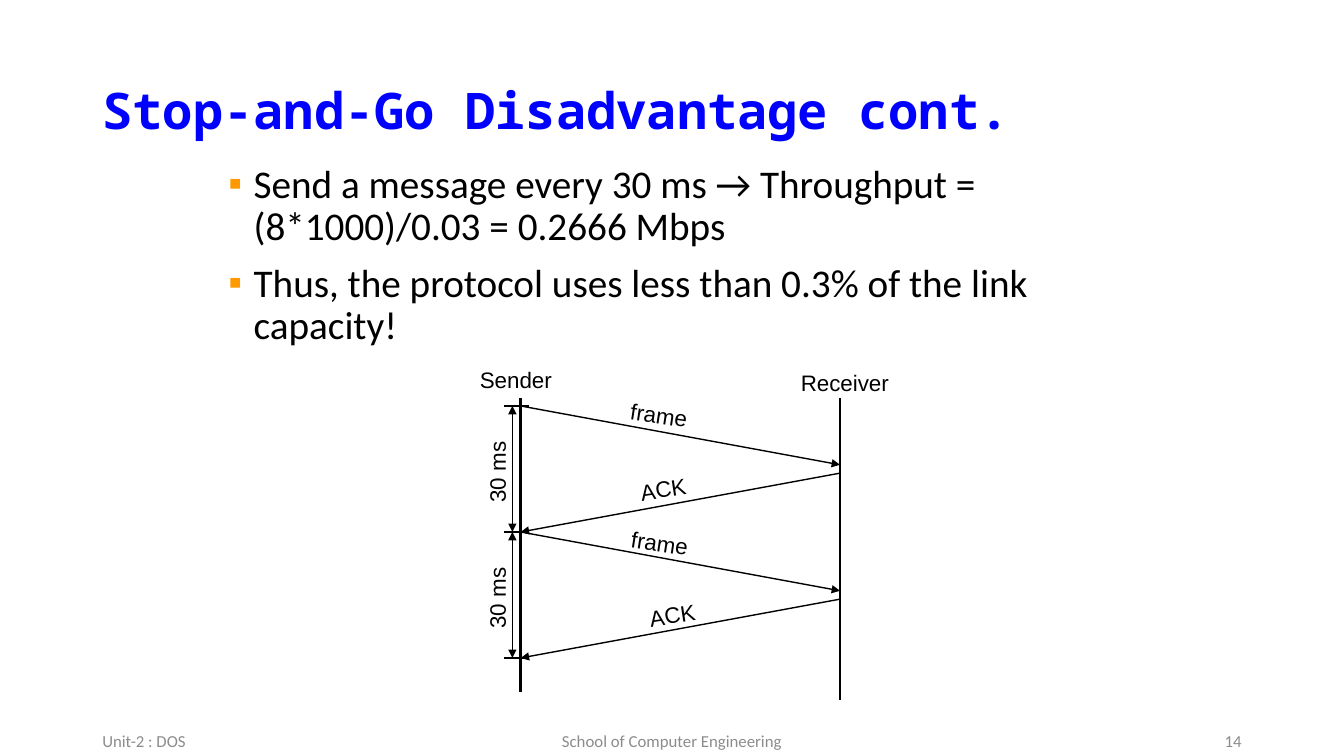
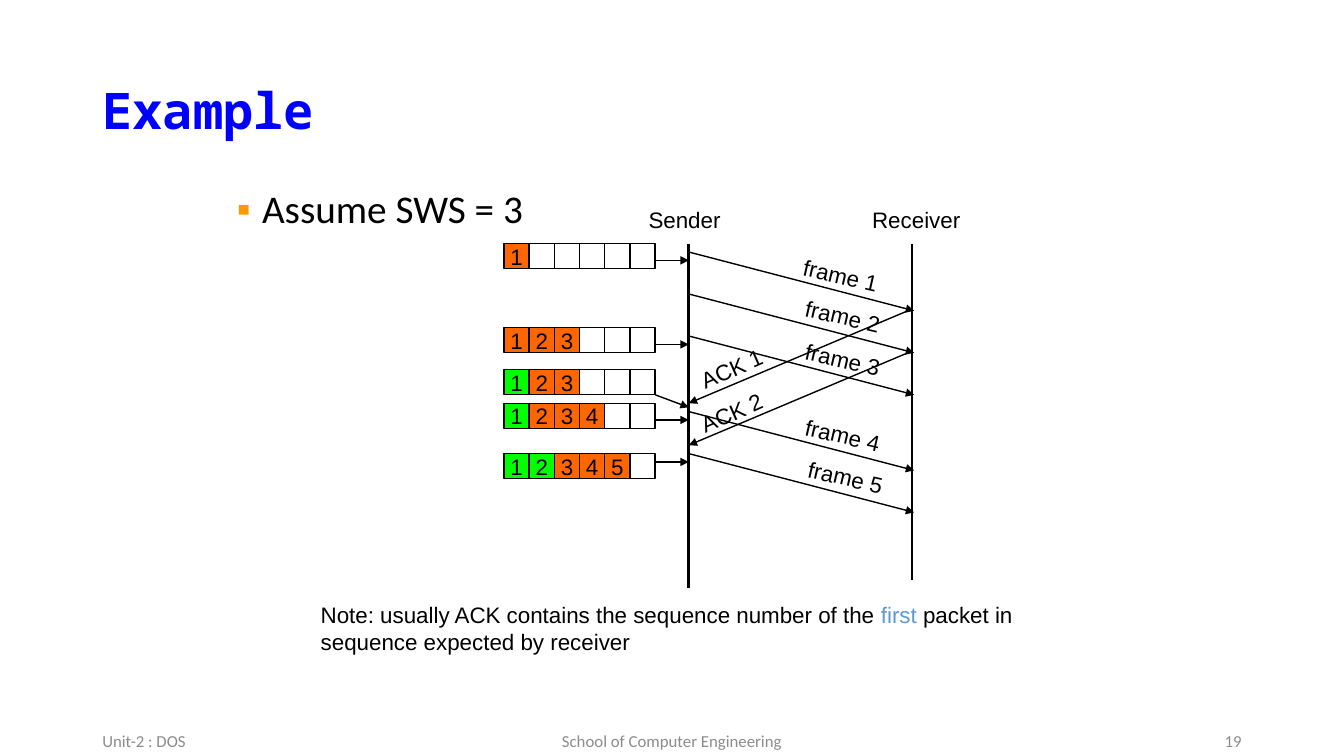
import pptx
import pptx.dml.color
import pptx.enum.shapes
import pptx.enum.text
import pptx.oxml.ns
import pptx.util
from lxml import etree

Pt = pptx.util.Pt
RGBColor = pptx.dml.color.RGBColor
Align = pptx.enum.text.PP_ALIGN
Anchor = pptx.enum.text.MSO_ANCHOR
Fit = pptx.enum.text.MSO_AUTO_SIZE
qn = pptx.oxml.ns.qn

BLACK = RGBColor(0x00, 0x00, 0x00)
WHITE = RGBColor(0xFF, 0xFF, 0xFF)
BLUE = RGBColor(0x00, 0x00, 0xFF)
GRAY = RGBColor(0x8C, 0x8C, 0x8C)
AMBER = RGBColor(0xFF, 0x99, 0x00)
SENT = RGBColor(0xFF, 0x66, 0x00)
ACKED = RGBColor(0x00, 0xFF, 0x00)
ACCENT = RGBColor(0x5B, 0x9B, 0xD5)

STOP_AND_GO = {
    "title": "Stop-and-Go Disadvantage cont.",
    "number": "14",
    "bullets": [
        "Send a message every 30 ms → Throughput = (8*1000)/0.03 = 0.2666 Mbps",
        "Thus, the protocol uses less than 0.3% of the link capacity!",
    ],
    "body": (156, 114, 648, 330),
    "timelines": [(372, 284.5, 494), (600, 284.5, 500)],
    "labels": [
        ("Sender", 335.5, 258, 66, 0),
        ("Receiver", 564.5, 260, 78, 0),
        ("frame", 443, 283, 55.5, 8.7),
        ("frame", 443.5, 374.5, 55.5, 8.7),
        ("ACK", 450, 336, 47.5, 351.3),
        ("ACK", 456.5, 426, 47.5, 351.3),
        ("30 ms", 326, 324, 58, 270),
        ("30 ms", 326, 414, 58, 270),
    ],
}
ROUND_START, ROUND_TIME, ROUNDS = 290, 90, 2
TRAVEL = 42

SLIDING_WINDOW = {
    "title": "Example",
    "number": "19",
    "bullets": ["Assume SWS = 3"],
    "body": (162, 132, 648, 48),
    "timelines": [(492, 174, 420), (651.5, 174, 414)],
    "labels": [
        ("Sender", 456, 144, 66, 0),
        ("Receiver", 615.5, 144, 78, 0),
        ("frame 1", 566, 183.5, 69, 13),
        ("frame 2", 567.5, 212.5, 69, 13),
        ("frame 3", 567.5, 243.5, 69, 13),
        ("frame 4", 567.5, 297.5, 69, 13),
        ("frame 5", 569.5, 327.5, 69, 13),
        ("ACK 1", 492, 250, 61, 336.3),
        ("ACK 2", 492, 281.5, 61, 336.3),
    ],
}
FRAME_STARTS = [180, 210, 240, 294, 324]
ACK_STARTS = [222, 252]
ACK_TRAVEL = 66
WINDOWS = [
    {"top": 174, "acked": 0, "sent": 1, "arrow": (186, 186)},
    {"top": 234, "acked": 0, "sent": 3, "arrow": (246, 246)},
    {"top": 264, "acked": 1, "sent": 3, "arrow": (282, 291)},
    {"top": 288, "acked": 1, "sent": 4, "arrow": (300, 300)},
    {"top": 324, "acked": 2, "sent": 5, "arrow": (330, 330)},
]
CELL_LEFT, CELL_SIZE, CELL_COUNT = 360, 18, 6
NOTE = [
    [("Note: usually ACK contains the sequence number of the ", BLACK),
     ("first", ACCENT), (" packet in", BLACK)],
    "sequence expected by receiver",
]


def write(frame, paragraphs, size=16, font="Arial", color=BLACK, bold=False,
          align=Align.LEFT, anchor=Anchor.TOP, wrap=True, fit=Fit.NONE,
          line_spacing=None, space_before=None, bullet=None):
    frame.word_wrap = wrap
    frame.auto_size = fit
    frame.vertical_anchor = anchor
    for index, content in enumerate(paragraphs):
        para = frame.add_paragraph() if index else frame.paragraphs[0]
        para.alignment = align
        if line_spacing is not None:
            para.line_spacing = line_spacing
        if space_before is not None:
            para.space_before = Pt(space_before)
        if bullet:
            add_bullet(para, bullet)
        for text, shade in [(content, color)] if isinstance(content, str) else content:
            span = para.add_run()
            span.text = text
            span.font.name = font
            span.font.size = Pt(size)
            span.font.bold = bold
            span.font.color.rgb = shade


def add_bullet(para, character):
    properties = para._p.get_or_add_pPr()
    properties.set("marL", str(Pt(18)))
    properties.set("indent", str(-Pt(18)))
    tint = etree.SubElement(properties, qn("a:buClr"))
    etree.SubElement(tint, qn("a:srgbClr"), val=str(AMBER))
    etree.SubElement(properties, qn("a:buFont"), typeface="Arial")
    etree.SubElement(properties, qn("a:buChar"), char=character)


def place(shape, left, top, width, height):
    shape.left, shape.top = Pt(left), Pt(top)
    shape.width, shape.height = Pt(width), Pt(height)


def add_text(page, bounds, paragraphs, rotation=0, **style):
    box = page.shapes.add_textbox(*map(Pt, bounds))
    write(box.text_frame, paragraphs, **style)
    box.rotation = rotation


def add_line(page, start, end, width=1, ends=()):
    line = page.shapes.add_connector(
        pptx.enum.shapes.MSO_CONNECTOR.STRAIGHT, *map(Pt, start + end))
    line.line.color.rgb = BLACK
    line.line.width = Pt(width)
    outline = line.line._get_or_add_ln()
    for name in ends:
        etree.SubElement(outline, qn("a:" + name), type="triangle")
    etree.SubElement(line._element.spPr, qn("a:effectLst"))


def add_arrow(page, start, end):
    add_line(page, start, end, ends=["tailEnd"])


def add_page(deck, content):
    page = deck.slides.add_slide(deck.slide_layouts[1])
    title, body = page.placeholders
    place(title, 66, 29, 828, 104)
    title.fill.solid()
    title.fill.fore_color.rgb = WHITE
    write(title.text_frame, [content["title"]], size=36, font="Noto Sans Mono",
          color=BLUE, bold=True, anchor=Anchor.MIDDLE, line_spacing=0.9)
    place(body, *content["body"])
    write(body.text_frame, content["bullets"], size=28, font="Calibri",
          line_spacing=0.9, space_before=10, bullet="▪")
    footers = [
        ("Unit-2 : DOS", 66, 216, Align.LEFT),
        ("School of Computer Engineering", 318, 324, Align.CENTER),
        (content["number"], 678, 216, Align.RIGHT),
    ]
    for text, left, width, align in footers:
        add_text(page, (left, 518.5, width, 21.5), [text], size=12, font="Calibri",
                 color=GRAY, align=align, anchor=Anchor.MIDDLE)
    for x, top, bottom in content["timelines"]:
        add_line(page, (x, top), (x, bottom), width=2)
    for text, left, top, width, rotation in content["labels"]:
        add_text(page, (left, top, width, 26.5), [text], rotation=rotation,
                 align=Align.CENTER, wrap=False, fit=Fit.SHAPE_TO_FIT_TEXT)
    return page


def draw_rounds(page):
    sender, receiver = (timeline[0] for timeline in STOP_AND_GO["timelines"])
    ticks = [ROUND_START + ROUND_TIME * index for index in range(ROUNDS + 1)]
    for y in ticks:
        add_line(page, (360, y), (378, y))
    for start, end in zip(ticks, ticks[1:]):
        add_arrow(page, (sender, start), (receiver, start + TRAVEL))
        add_arrow(page, (receiver, end - TRAVEL), (sender, end))
        add_line(page, (366, end), (366, start), ends=["headEnd", "tailEnd"])


def draw_window(page, window, sender):
    for index in range(CELL_COUNT):
        cell = page.shapes.add_shape(
            pptx.enum.shapes.MSO_SHAPE.RECTANGLE, Pt(CELL_LEFT + CELL_SIZE * index),
            Pt(window["top"]), Pt(CELL_SIZE), Pt(CELL_SIZE))
        cell.shadow.inherit = False
        cell.line.color.rgb = BLACK
        cell.line.width = Pt(1)
        if index < window["sent"]:
            cell.fill.solid()
            cell.fill.fore_color.rgb = ACKED if index < window["acked"] else SENT
            write(cell.text_frame, [str(index + 1)], align=Align.CENTER,
                  anchor=Anchor.MIDDLE, wrap=False)
        else:
            cell.fill.background()
    start, end = window["arrow"]
    add_arrow(page, (CELL_LEFT + CELL_SIZE * CELL_COUNT, start), (sender, end))


def draw_sliding_window(page):
    sender, receiver = (timeline[0] for timeline in SLIDING_WINDOW["timelines"])
    for y in FRAME_STARTS:
        add_arrow(page, (sender, y), (receiver + 1.5, y + TRAVEL))
    for y in ACK_STARTS:
        add_arrow(page, (receiver - 3, y), (sender, y + ACK_TRAVEL))
    for window in WINDOWS:
        draw_window(page, window, sender)
    add_text(page, (222, 426, 515, 45.5), NOTE, wrap=False, fit=Fit.SHAPE_TO_FIT_TEXT)


def main():
    deck = pptx.Presentation()
    deck.slide_width, deck.slide_height = Pt(960), Pt(540)
    draw_rounds(add_page(deck, STOP_AND_GO))
    draw_sliding_window(add_page(deck, SLIDING_WINDOW))
    deck.save("out.pptx")


if __name__ == "__main__":
    main()
